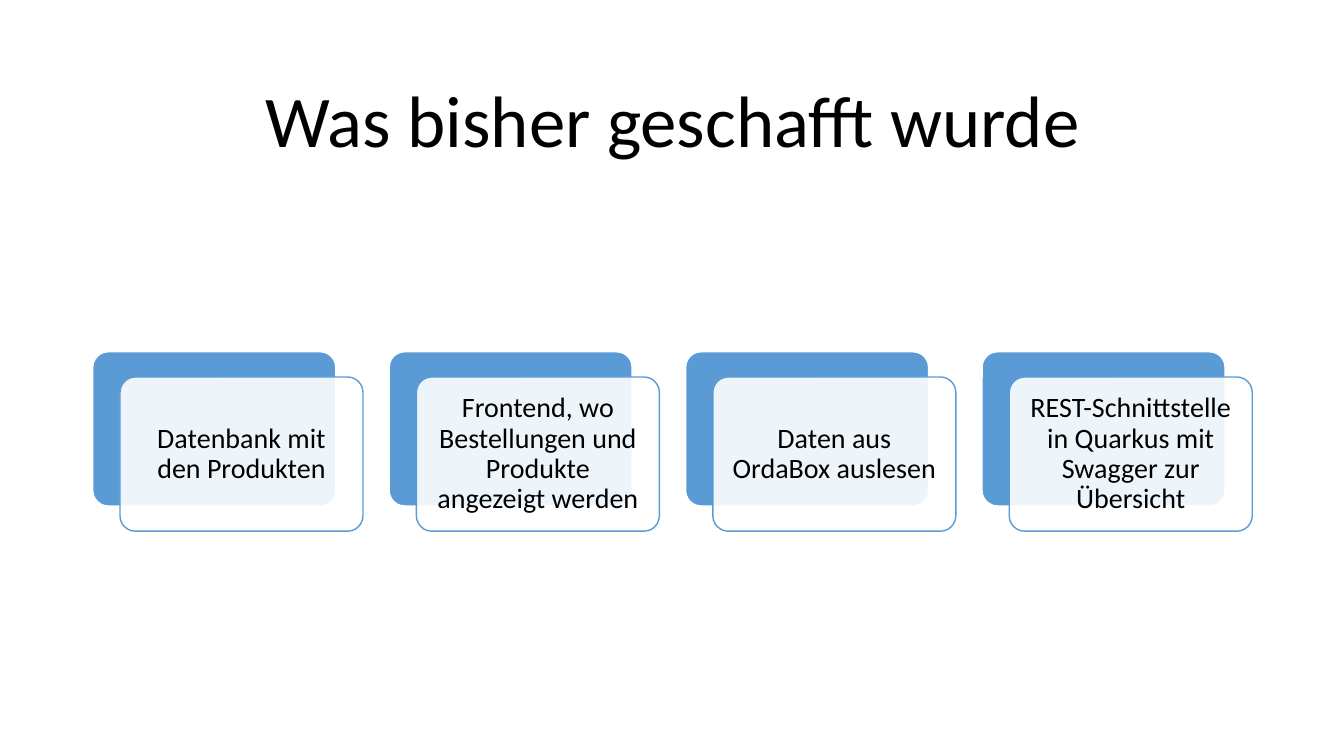
from lxml.etree import SubElement
from pptx import Presentation
from pptx.dml.color import RGBColor
from pptx.enum.shapes import MSO_SHAPE
from pptx.enum.text import MSO_ANCHOR, PP_ALIGN
from pptx.oxml.ns import qn
from pptx.util import Inches, Pt

COLORS = {"blue": "5B9BD5", "white": "FFFFFF", "black": "000000"}
FONT = "Calibri"
TITLE = "Was bisher geschafft wurde"
ACHIEVEMENTS = [
    "Datenbank mit den Produkten",
    "Frontend, wo Bestellungen und Produkte angezeigt werden",
    "Daten aus OrdaBox auslesen",
    "REST-Schnittstelle in Quarkus mit Swagger zur Übersicht",
]
CARD_WIDTH, CARD_HEIGHT = 2.41, 1.53
CARD_PITCH = 2.94
FRONT_SHIFT = (0.27, 0.25)


def write_text(shape, text, size, color="black", inset=0.1):
    """Write one centred paragraph into a shape."""
    frame = shape.text_frame
    frame.word_wrap = True
    frame.vertical_anchor = MSO_ANCHOR.MIDDLE
    frame.margin_left = frame.margin_right = Inches(inset)
    frame.margin_top = frame.margin_bottom = Inches(inset)
    para = frame.paragraphs[0]
    para.alignment = PP_ALIGN.CENTER
    para.line_spacing = 0.9
    span = para.add_run()
    span.text = text
    span.font.name = FONT
    span.font.size = Pt(size)
    span.font.color.rgb = RGBColor.from_string(COLORS[color])


def add_panel(page, left, top, fill, line, opacity=100):
    """Add one rounded panel of a card."""
    panel = page.shapes.add_shape(
        MSO_SHAPE.ROUNDED_RECTANGLE,
        Inches(left), Inches(top), Inches(CARD_WIDTH), Inches(CARD_HEIGHT),
    )
    panel.adjustments[0] = 0.1
    panel.shadow.inherit = False
    panel.fill.solid()
    panel.fill.fore_color.rgb = RGBColor.from_string(COLORS[fill])
    panel.line.color.rgb = RGBColor.from_string(COLORS[line])
    panel.line.width = Pt(1)
    if opacity < 100:
        color = panel._element.spPr.find(qn("a:solidFill")).find(qn("a:srgbClr"))
        SubElement(color, qn("a:alpha")).set("val", str(opacity * 1000))
    return panel


def add_card(page, left, top, text):
    """Add a blue panel with a translucent text panel shifted over it."""
    add_panel(page, left, top, "blue", "white")
    shift_x, shift_y = FRONT_SHIFT
    front = add_panel(page, left + shift_x, top + shift_y, "white", "blue", opacity=90)
    write_text(front, text, size=20, inset=0.08)


def add_card_row(page, left, top, texts):
    """Place the cards side by side at an equal pitch."""
    for index, text in enumerate(texts):
        add_card(page, left + index * CARD_PITCH, top, text)


def add_title(page, left, top, width, height):
    """Place and fill the title placeholder."""
    title = page.shapes.title
    title.left, title.top = Inches(left), Inches(top)
    title.width, title.height = Inches(width), Inches(height)
    write_text(title, TITLE, size=52)


def main():
    """Build and save the deck."""
    deck = Presentation()
    deck.slide_width, deck.slide_height = Inches(13.33), Inches(7.5)
    page = deck.slides.add_slide(deck.slide_layouts.get_by_name("Title Only"))
    add_title(page, 0.92, 0.61, 11.5, 1.24)
    add_card_row(page, 0.92, 3.49, ACHIEVEMENTS)
    deck.save("out.pptx")


if __name__ == "__main__":
    main()
